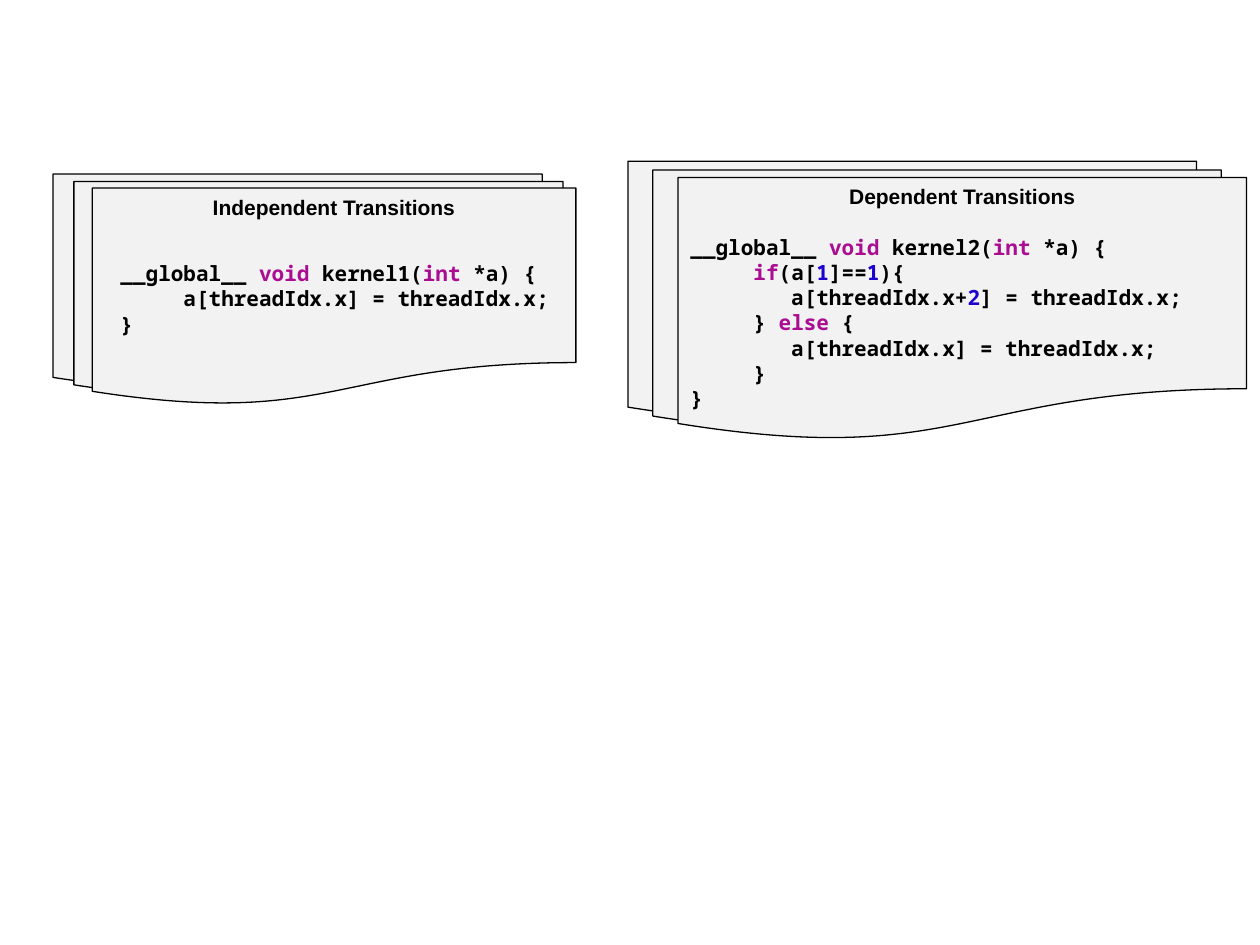
from pptx import Presentation
from pptx.dml.color import RGBColor
from pptx.enum.shapes import MSO_SHAPE
from pptx.enum.text import MSO_ANCHOR, PP_ALIGN
from pptx.util import Cm, Pt

DOCUMENT = MSO_SHAPE.FLOWCHART_DOCUMENT
TOP = MSO_ANCHOR.TOP
CENTER = PP_ALIGN.CENTER
LEFT = PP_ALIGN.LEFT
BLACK, PAPER, KEYWORD, NUMBER = "000000", "F2F2F2", "AA0D91", "1C00CF"
TOKEN_COLORS = {"void": KEYWORD, "int": KEYWORD, "if": KEYWORD,
                "else": KEYWORD, "1": NUMBER, "2": NUMBER}
TAB, NESTED = 1.27, 2.03

STACKS = [
    {
        "title": "Dependent Transitions",
        "sheets": [(12.66, 3.25, 11.46), (13.16, 3.43, 11.46), (13.67, 3.58, 11.46)],
        "height": 5.31,
        "code_box": (13.67, 4.6, 14.86, 3.84),
        "code": [
            (0, ["__global__ ", "void", " kernel2(", "int", " *a) {"]),
            (TAB, ["if", "(a[", "1", "]==", "1", "){"]),
            (NESTED, ["a[threadIdx.x+", "2", "] = threadIdx.x;"]),
            (TAB, ["} ", "else", " {"]),
            (NESTED, ["a[threadIdx.x] = threadIdx.x;"]),
            (TAB, ["}"]),
            (0, ["}"]),
        ],
    },
    {
        "title": "Independent Transitions",
        "sheets": [(1.07, 3.51, 9.86), (1.49, 3.66, 9.86), (1.86, 3.79, 9.75)],
        "height": 4.39,
        "code_box": (2.18, 5.13, 9.42, 1.78),
        "code": [
            (0, ["__global__ ", "void", " kernel1(", "int", " *a) {"]),
            (TAB, ["a[threadIdx.x] = threadIdx.x;"]),
            (0, ["}"]),
        ],
    },
]


def rgb(value):
    return RGBColor.from_string(value)


def format_run(run, font_name, color):
    run.font.name = font_name
    run.font.size = Pt(12)
    run.font.bold = True
    run.font.color.rgb = rgb(color)


def add_sheet(group, left, top, width, height):
    sheet = group.shapes.add_shape(DOCUMENT, Cm(left), Cm(top), Cm(width), Cm(height))
    sheet.shadow.inherit = False
    sheet.fill.solid()
    sheet.fill.fore_color.rgb = rgb(PAPER)
    sheet.line.color.rgb = rgb(BLACK)
    sheet.line.width = Pt(0.75)
    return sheet


def add_title(sheet, title):
    frame = sheet.text_frame
    frame.text = title
    frame.vertical_anchor = TOP
    paragraph = frame.paragraphs[0]
    paragraph.alignment = CENTER
    format_run(paragraph.runs[0], "Arial", BLACK)


def add_code(group, box, lines):
    frame = group.shapes.add_textbox(*map(Cm, box)).text_frame
    frame.word_wrap = True
    frame.vertical_anchor = TOP
    for index, (indent, tokens) in enumerate(lines):
        paragraph = frame.add_paragraph() if index else frame.paragraphs[0]
        paragraph.alignment = LEFT
        paragraph.line_spacing = Pt(14.4)
        properties = paragraph._p.get_or_add_pPr()
        properties.set("marL", str(Cm(indent)))
        properties.set("indent", "0")
        for token in tokens:
            run = paragraph.add_run()
            run.text = token
            format_run(run, "Noto Sans Mono", TOKEN_COLORS.get(token, BLACK))


presentation = Presentation()
presentation.slide_width = Cm(25.4)
presentation.slide_height = Cm(19.05)
slide = presentation.slides.add_slide(presentation.slide_layouts[6])

for stack in STACKS:
    group = slide.shapes.add_group_shape()
    sheets = [add_sheet(group, *place, stack["height"]) for place in stack["sheets"]]
    add_title(sheets[-1], stack["title"])
    add_code(group, stack["code_box"], stack["code"])

presentation.save("out.pptx")
